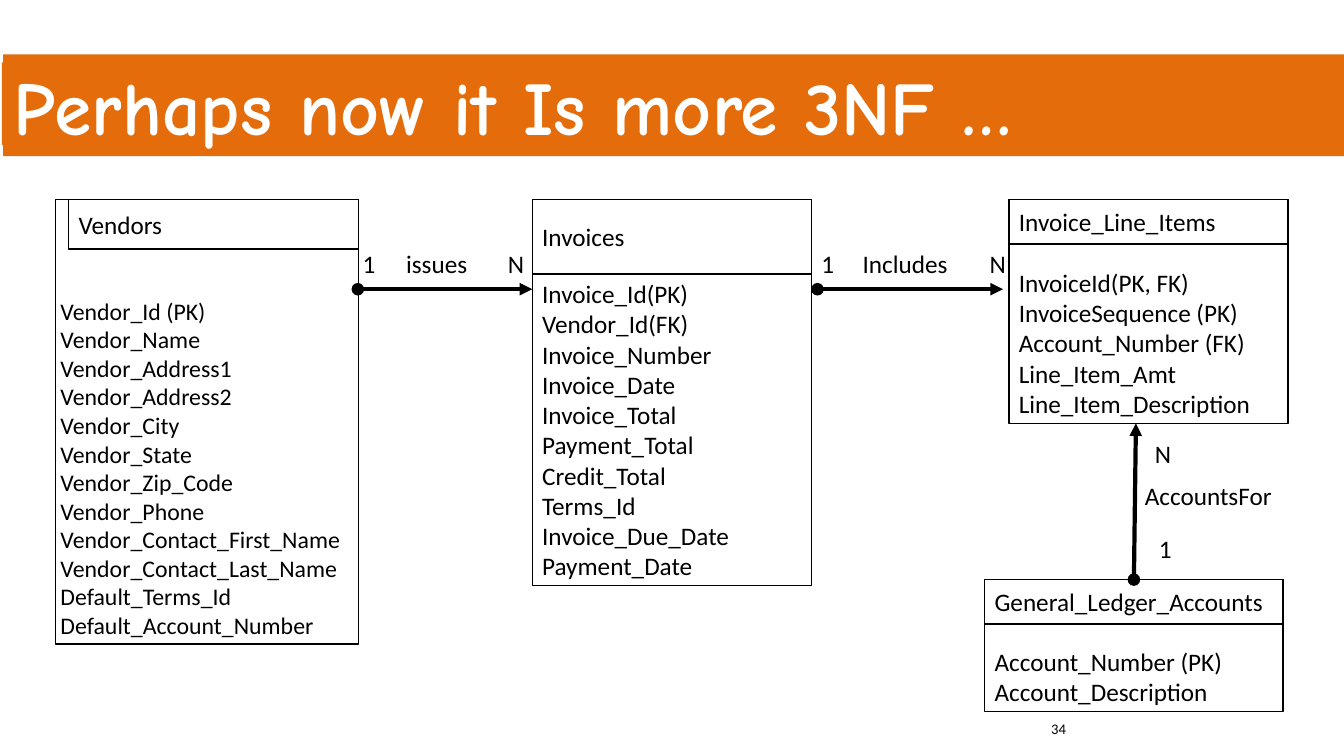
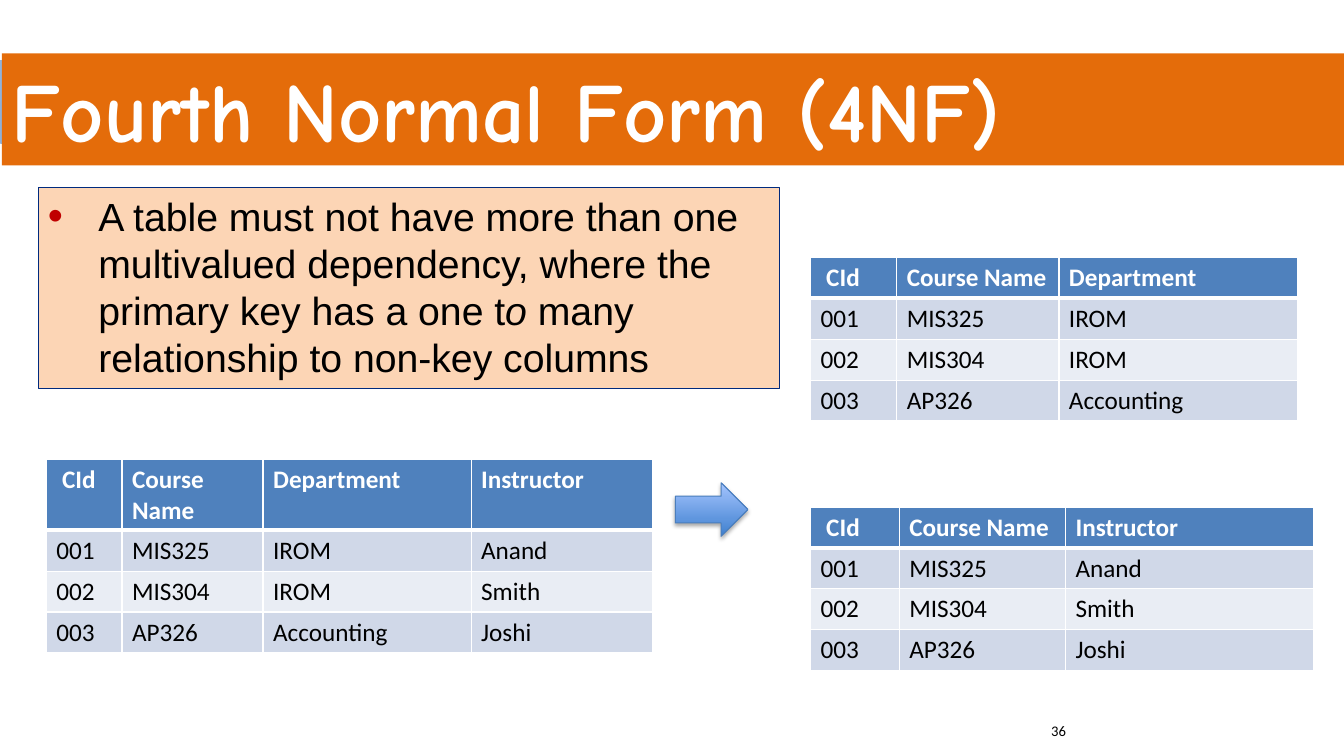
from dataclasses import dataclass

from lxml import etree
from pptx import Presentation
from pptx.dml.color import RGBColor
from pptx.enum.shapes import MSO_CONNECTOR, MSO_SHAPE
from pptx.enum.text import MSO_ANCHOR, PP_ALIGN
from pptx.oxml.ns import qn
from pptx.util import Pt

RECTANGLE = MSO_SHAPE.RECTANGLE
RIGHT_ARROW = MSO_SHAPE.RIGHT_ARROW
STRAIGHT = MSO_CONNECTOR.STRAIGHT
TOP, MIDDLE, BOTTOM = MSO_ANCHOR.TOP, MSO_ANCHOR.MIDDLE, MSO_ANCHOR.BOTTOM
LEFT = PP_ALIGN.LEFT
TOP_SIDE = 0
WIDTH, HEIGHT = 960, 540
LABEL_HEIGHT = 28.8
ROW_HEIGHT = 29.2


@dataclass(frozen=True)
class Theme:
    black: str = "000000"
    white: str = "FFFFFF"
    band: str = "E46C0A"
    callout: str = "FCD5B5"
    callout_line: str = "002A7E"
    bullet: str = "C00000"
    header: str = "4F81BD"
    rows: tuple = ("D0D8E8", "E9EDF4")
    arrow_line: str = "4B7EBC"
    arrow_stops: tuple = ((0, "3F80CE"), (100, "A4C4FF"))
    band_stops: tuple = ((0, "566A83"), (50, "7A97BA"), (100, "90B3DC"))
    title_font: str = "Comic Neue"
    callout_font: str = "Arial"
    body_font: str = "Calibri"
    body_size: float = 18
    dense_size: float = 17
    callout_size: float = 28
    number_size: float = 10.5


def add_xml(parent, tag, **attributes):
    values = {name: str(value) for name, value in attributes.items()}
    return etree.SubElement(parent, qn(tag), values)


def assign(target, **values):
    for name, value in values.items():
        setattr(target, name, value)


def points(*values):
    return [Pt(value) for value in values]


class Deck:
    def __init__(self, theme):
        self.theme = theme
        self.presentation = Presentation()
        assign(self.presentation, slide_width=Pt(WIDTH), slide_height=Pt(HEIGHT))
        self.slide = None

    def new_slide(self):
        self.slide = self.presentation.slides.add_slide(self.presentation.slide_layouts[6])

    def style(self, font, color=None, **values):
        format_values = dict(name=self.theme.body_font, size=Pt(self.theme.body_size), bold=False)
        assign(font, **{**format_values, **values})
        font.color.rgb = RGBColor.from_string(color or self.theme.black)

    def fill_text(self, frame, lines, anchor=TOP, inset=None, wrap=True, **font):
        assign(frame, word_wrap=wrap, vertical_anchor=anchor)
        if inset is not None:
            assign(frame, **{f"margin_{side}": Pt(inset) for side in ("left", "top", "right", "bottom")})
        for index, line in enumerate(lines):
            paragraph = frame.paragraphs[0] if index == 0 else frame.add_paragraph()
            paragraph.alignment = LEFT
            run = paragraph.add_run()
            run.text = line
            self.style(run.font, **font)

    def box(self, left, top, width, height, fill=None, line=None, line_width=1, kind=RECTANGLE):
        shape = self.slide.shapes.add_shape(kind, *points(left, top, width, height))
        shape.shadow.inherit = False
        if fill:
            shape.fill.solid()
            shape.fill.fore_color.rgb = RGBColor.from_string(fill)
        if line:
            shape.line.color.rgb = RGBColor.from_string(line)
            shape.line.width = Pt(line_width)
        else:
            shape.line.fill.background()
        return shape

    def gradient(self, shape, stops, angle=None):
        shape.fill.gradient()
        fill = shape._element.spPr.find(qn("a:gradFill"))
        for child in list(fill):
            fill.remove(child)
        stop_list = add_xml(fill, "a:gsLst")
        for position, color in stops:
            add_xml(add_xml(stop_list, "a:gs", pos=position * 1000), "a:srgbClr", val=color)
        if angle is None:
            add_xml(add_xml(fill, "a:path", path="circle"), "a:fillToRect", l=100000, t=100000)
        else:
            add_xml(fill, "a:lin", ang=angle * 60000, scaled=0)

    def title(self, text, left, top, height, size):
        shape = self.box(left, top, WIDTH - left, height, self.theme.band)
        self.fill_text(shape.text_frame, [text], name=self.theme.title_font, size=Pt(size),
                       color=self.theme.white, bold=True)

    def label(self, text, left, top, width, wrap=False, **font):
        text_box = self.slide.shapes.add_textbox(*points(left, top, width, LABEL_HEIGHT))
        self.fill_text(text_box.text_frame, [text], wrap=wrap, **font)

    def number(self, text, top):
        self.label(text, 743.8, top, 216, wrap=True, size=Pt(self.theme.number_size))

    def entity(self, name, fields, left, top, width, height, header_height,
               header_indent=0, inset=None, size=None):
        colors = dict(fill=self.theme.white, line=self.theme.black)
        body = self.box(left, top, width, height, **colors)
        self.fill_text(body.text_frame, fields, BOTTOM, inset, size=Pt(size or self.theme.body_size))
        header = self.box(left + header_indent, top, width - header_indent, header_height, **colors)
        self.fill_text(header.text_frame, [name], MIDDLE)
        return body

    def relation(self, start, end, source=None):
        connector = self.slide.shapes.add_connector(STRAIGHT, *points(*start, *end))
        if source is not None:
            connector.begin_connect(source, TOP_SIDE)
        connector.line.color.rgb = RGBColor.from_string(self.theme.black)
        connector.line.width = Pt(3)
        properties = connector._element.spPr
        line = properties.find(qn("a:ln"))
        add_xml(line, "a:headEnd", type="oval")
        add_xml(line, "a:tailEnd", type="triangle")
        add_xml(properties, "a:effectLst")

    def callout(self, runs, left, top, width, height):
        shape = self.box(left, top, width, height, self.theme.callout, self.theme.callout_line, 0.75)
        frame = shape.text_frame
        assign(frame, word_wrap=True, vertical_anchor=TOP)
        paragraph = frame.paragraphs[0]
        assign(paragraph, alignment=LEFT, space_after=Pt(12))
        properties = paragraph._p.get_or_add_pPr()
        properties.set("marL", str(Pt(36)))
        properties.set("indent", str(Pt(-36)))
        add_xml(add_xml(properties, "a:buClr"), "a:srgbClr", val=self.theme.bullet)
        add_xml(properties, "a:buSzPct", val=110000)
        add_xml(properties, "a:buFont", typeface=self.theme.callout_font)
        add_xml(properties, "a:buChar", char="•")
        for text, italic in runs:
            run = paragraph.add_run()
            run.text = text
            self.style(run.font, name=self.theme.callout_font,
                       size=Pt(self.theme.callout_size), italic=italic)

    def borders(self, cell, **widths):
        properties = cell._tc.get_or_add_tcPr()
        for side in "LRTB":
            line = add_xml(properties, f"a:ln{side}", w=Pt(widths.get(side, 1)))
            add_xml(add_xml(line, "a:solidFill"), "a:srgbClr", val=self.theme.white)

    def table(self, records, names, left, top, widths):
        rows = [names] + [[record[name] for name in names] for record in records]
        size = points(left, top, sum(widths), ROW_HEIGHT * len(rows))
        table = self.slide.shapes.add_table(len(rows), len(names), *size).table
        for column, width in zip(table.columns, widths):
            column.width = Pt(width)
        for row_index, values in enumerate(rows):
            table.rows[row_index].height = Pt(ROW_HEIGHT)
            heading = row_index == 0
            fill = self.theme.header if heading else self.theme.rows[(row_index - 1) % 2]
            for column_index, value in enumerate(values):
                cell = table.cell(row_index, column_index)
                self.borders(cell, T=3 if row_index == 1 else 1, B=3 if heading else 1)
                cell.fill.solid()
                cell.fill.fore_color.rgb = RGBColor.from_string(fill)
                self.fill_text(cell.text_frame, [value], bold=heading,
                               color=self.theme.white if heading else self.theme.black)
                if heading and column_index == 0:
                    cell.margin_left = Pt(11.3)

    def block_arrow(self, left, top, width, height):
        shape = self.box(left, top, width, height, line=self.theme.arrow_line,
                         line_width=0.75, kind=RIGHT_ARROW)
        self.gradient(shape, self.theme.arrow_stops, 270)
        effects = shape._element.spPr.find(qn("a:effectLst"))
        shadow = add_xml(effects, "a:outerShdw", blurRad=Pt(3.1), dist=Pt(1.8),
                         dir=90 * 60000, rotWithShape=0)
        add_xml(add_xml(shadow, "a:srgbClr", val=self.theme.black), "a:alpha", val=35000)


def third_form_slide(deck):
    deck.new_slide()
    deck.box(1.4, 44.6, WIDTH - 1.4, 59, deck.theme.band)
    deck.title("Perhaps now it Is more 3NF …", 2.2, 38.9, 72.7, 54)
    deck.number("34", 510.5)

    top = 142.6
    deck.entity("Vendors", [
        "Vendor_Id (PK)", "Vendor_Name", "Vendor_Address1", "Vendor_Address2", "Vendor_City",
        "Vendor_State", "Vendor_Zip_Code", "Vendor_Phone", "Vendor_Contact_First_Name",
        "Vendor_Contact_Last_Name", "Default_Terms_Id", "Default_Account_Number",
    ], 39.6, top, 216.4, 317.5, 35.3, header_indent=9.4, inset=3.6, size=deck.theme.dense_size)
    deck.entity("Invoices", [
        "Invoice_Id(PK)", "Vendor_Id(FK)", "Invoice_Number", "Invoice_Date", "Invoice_Total",
        "Payment_Total", "Credit_Total", "Terms_Id", "Invoice_Due_Date", "Payment_Date",
    ], 380.2, top, 199.4, 275.8, 53.3)
    deck.entity("Invoice_Line_Items", [
        "InvoiceId(PK, FK)", "InvoiceSequence (PK)", "Account_Number (FK)", "Line_Item_Amt",
        "Line_Item_Description",
    ], 720.7, top, 199.4, 159.8, 31.7)
    ledger = deck.entity("General_Ledger_Accounts", ["Account_Number (PK)", "Account_Description"],
                         703.4, 414, 213.1, 94.3, 31.7)

    relation_y, label_y = 206.6, 173.5
    deck.relation((255.6, relation_y), (380.2, relation_y))
    deck.relation((583.9, relation_y), (716.4, relation_y))
    deck.relation((810, 414), (811.4, 302.4), ledger)
    for text, left, label_top, width in (
        ("1", 252, label_y, 23.8), ("issues", 283, label_y, 58.3), ("N", 355.7, label_y, 25.9),
        ("1", 579.6, label_y, 23.8), ("Includes", 609.1, label_y, 75.6), ("N", 699.8, label_y, 25.9),
        ("N", 817.9, 309.6, 25.9), ("AccountsFor", 810.7, 339.8, 105.8), ("1", 820.8, 377.3, 23.8),
    ):
        deck.label(text, left, label_top, width)


def fourth_form_slide(deck):
    deck.new_slide()
    deck.gradient(deck.box(0, 43.2, WIDTH, 59), deck.theme.band_stops)
    deck.title("Fourth Normal Form (4NF)", 1.4, 38.2, 79.9, 60)
    deck.callout([
        ("A table must not have more than one multivalued dependency, "
         "where the primary key has a one t", False),
        ("o ", True),
        ("many relationship to non-key columns", False),
    ], 27.2, 133.9, 529.9, 143.3)
    deck.number("36", 511.9)

    columns = ["CId", "Course Name", "Department", "Instructor"]
    courses = [dict(zip(columns, values)) for values in (
        ("001", "MIS325", "IROM", "Anand"),
        ("002", "MIS304", "IROM", "Smith"),
        ("003", "AP326", "Accounting", "Joshi"),
    )]
    deck.table(courses, columns, 33.1, 328.3, (54, 100.8, 148.6, 129.6))
    deck.table(courses, columns[:2] + columns[3:], 578.9, 362.2, (63.4, 118.8, 177.5))
    deck.table(courses, columns[:3], 578.9, 183.9, (61.6, 115.9, 170.6))
    deck.block_arrow(482.4, 344.9, 51.8, 38.2)


def main():
    deck = Deck(Theme())
    third_form_slide(deck)
    fourth_form_slide(deck)
    deck.presentation.save("out.pptx")


if __name__ == "__main__":
    main()
